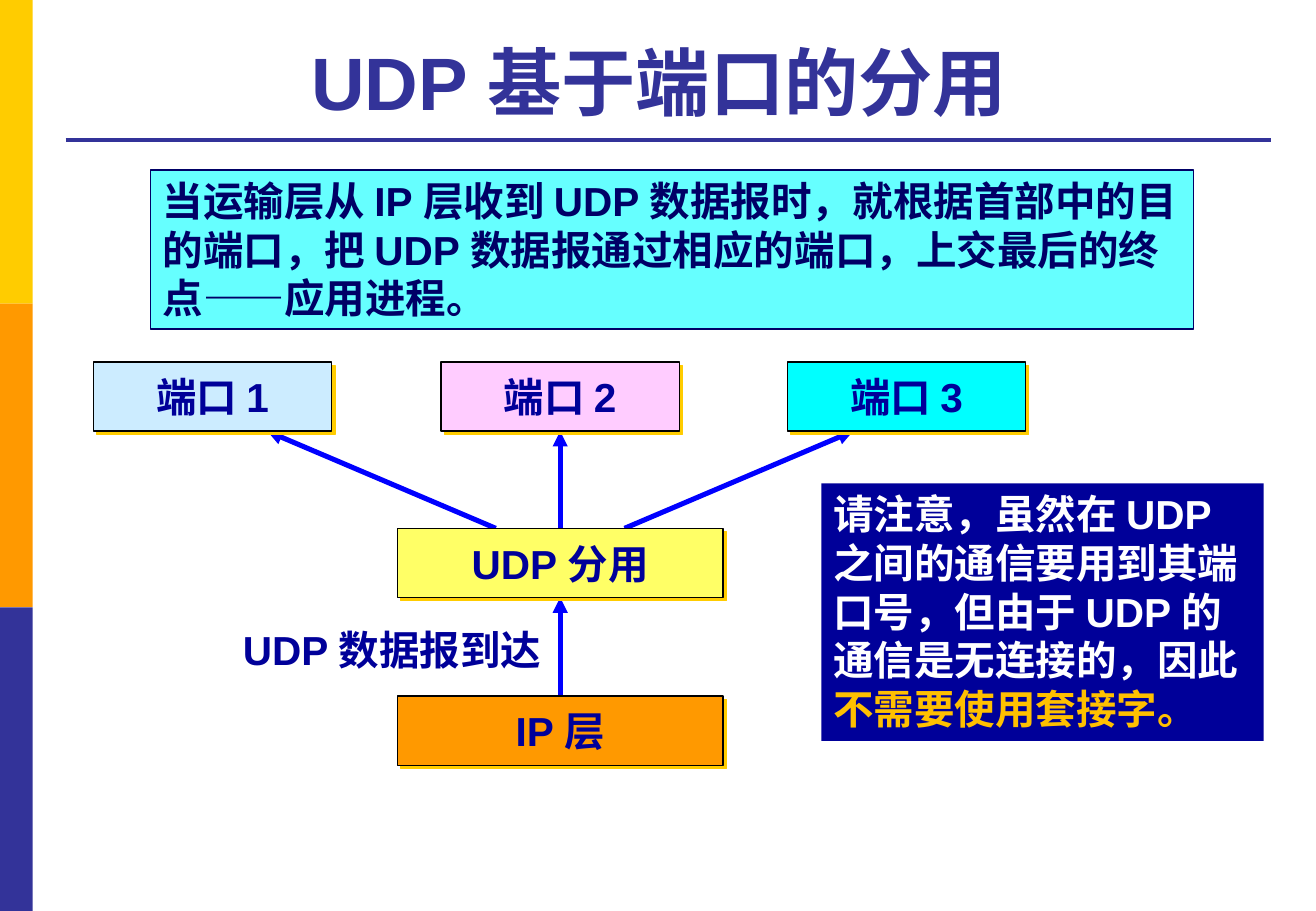
from lxml import etree
from pptx import Presentation
from pptx.dml.color import RGBColor
from pptx.enum.shapes import MSO_CONNECTOR, MSO_SHAPE
from pptx.enum.text import MSO_ANCHOR, MSO_AUTO_SIZE, PP_ALIGN
from pptx.oxml import parse_xml
from pptx.oxml.ns import nsdecls, qn
from pptx.util import Inches, Pt


def paint(color_format, hex_color):
    color_format.rgb = RGBColor.from_string(hex_color)


def write(shape, parts, align=PP_ALIGN.LEFT, anchor=MSO_ANCHOR.TOP, size=24):
    """Fill a shape with one paragraph of (text, colour) runs."""
    frame = shape.text_frame
    frame.word_wrap = True
    frame.auto_size = MSO_AUTO_SIZE.NONE
    frame.vertical_anchor = anchor
    paragraph = frame.paragraphs[0]
    paragraph.alignment = align
    for text, color in parts:
        run = paragraph.add_run()
        run.text = text
        run.font.name = "Arial"
        run.font.size = Pt(size)
        run.font.bold = True
        paint(run.font.color, color)


prs = Presentation()
prs.slide_width, prs.slide_height = Inches(10.83), Inches(7.5)
slide = prs.slides.add_slide(prs.slide_layouts[5])
shapes = slide.shapes

# Title
title = shapes.title
title.left, title.top = Inches(0.54), Inches(0.21)
title.width, title.height = Inches(9.91), Inches(0.87)
write(title, [("UDP 基于端口的分用 ", "333399")], PP_ALIGN.CENTER, MSO_ANCHOR.BOTTOM, 44)

# Side stripe
for index, color in enumerate(["FFCC00", "FF9900", "333399"]):
    stripe = shapes.add_shape(MSO_SHAPE.RECTANGLE, 0, Inches(2.5 * index),
                              Inches(0.27), Inches(2.5))
    stripe.shadow.inherit = False
    stripe.fill.solid()
    paint(stripe.fill.fore_color, color)
    stripe.line.fill.background()

# Title rule and arrows: start, end, colour, width, arrowhead
center, port_bottom = 4.61, 3.55
lines = [
    (0.54, 1.15, 10.46, 1.15, "333399", 2.25, False),
    (center, 5.73, center, 4.92, "0000FF", 3, True),
    (center, 4.35, center, port_bottom, "0000FF", 3, True),
    (5.14, 4.35, 7.02, port_bottom, "0000FF", 3, True),
    (4.08, 4.35, 2.2, port_bottom, "0000FF", 3, True),
]
for x1, y1, x2, y2, color, width, arrow in lines:
    line = shapes.add_connector(MSO_CONNECTOR.STRAIGHT, Inches(x1), Inches(y1),
                                Inches(x2), Inches(y2))
    paint(line.line.color, color)
    line.line.width = Pt(width)
    if arrow:
        etree.SubElement(line.line._get_or_add_ln(), qn("a:tailEnd"), type="triangle")
    etree.SubElement(line._element.spPr, qn("a:effectLst"))

# Ports and layers
boxes = [
    ("端口 1", 0.77, 2.98, 1.96, "CCECFF"),
    ("端口 2", 3.63, 2.98, 1.96, "FFCCFF"),
    ("端口 3", 6.48, 2.98, 1.96, "00FFFF"),
    ("UDP 分用", 3.27, 4.35, 2.68, "FFFF66"),
    ("IP 层", 3.27, 5.73, 2.68, "FF9900"),
]
for text, left, top, width, color in boxes:
    box = shapes.add_shape(MSO_SHAPE.RECTANGLE, Inches(left), Inches(top),
                           Inches(width), Inches(0.57))
    box.fill.solid()
    paint(box.fill.fore_color, color)
    paint(box.line.color, "000000")
    box.line.width = Pt(0.75)
    box.shadow.inherit = False
    box._element.spPr.find(qn("a:effectLst")).append(parse_xml(
        f'<a:outerShdw {nsdecls("a")} dist="35560" dir="2700000" algn="ctr" '
        'rotWithShape="0"><a:srgbClr val="FFCC00"/></a:outerShdw>'))
    write(box, [(text, "000099")], PP_ALIGN.CENTER, MSO_ANCHOR.MIDDLE)

# Arrival label
arrival = shapes.add_textbox(Inches(1.9), Inches(5.1), Inches(2.69), Inches(0.51))
write(arrival, [("UDP 数据报到达", "000099")])

# Explanation and note
panels = [
    (1.24, 1.4, 8.58, 1.31, "66FFFF", "000066",
     [("当运输层从 IP 层收到 UDP 数据报时，就根据首部中的目的端口，"
       "把 UDP 数据报通过相应的端口，上交最后的终点——应用进程。", "000066")]),
    (6.76, 3.98, 3.64, 2.12, "000099", None,
     [("请注意，虽然在 UDP 之间的通信要用到其端口号，"
       "但由于 UDP 的通信是无连接的，因此", "FFFFFF"),
      ("不需要使用套接字。", "FFC000")]),
]
for left, top, width, height, fill, outline, parts in panels:
    panel = shapes.add_shape(MSO_SHAPE.RECTANGLE, Inches(left), Inches(top),
                             Inches(width), Inches(height))
    panel.shadow.inherit = False
    panel.fill.solid()
    paint(panel.fill.fore_color, fill)
    if outline:
        paint(panel.line.color, outline)
        panel.line.width = Pt(0.75)
    else:
        panel.line.fill.background()
    write(panel, parts)

prs.save("out.pptx")
